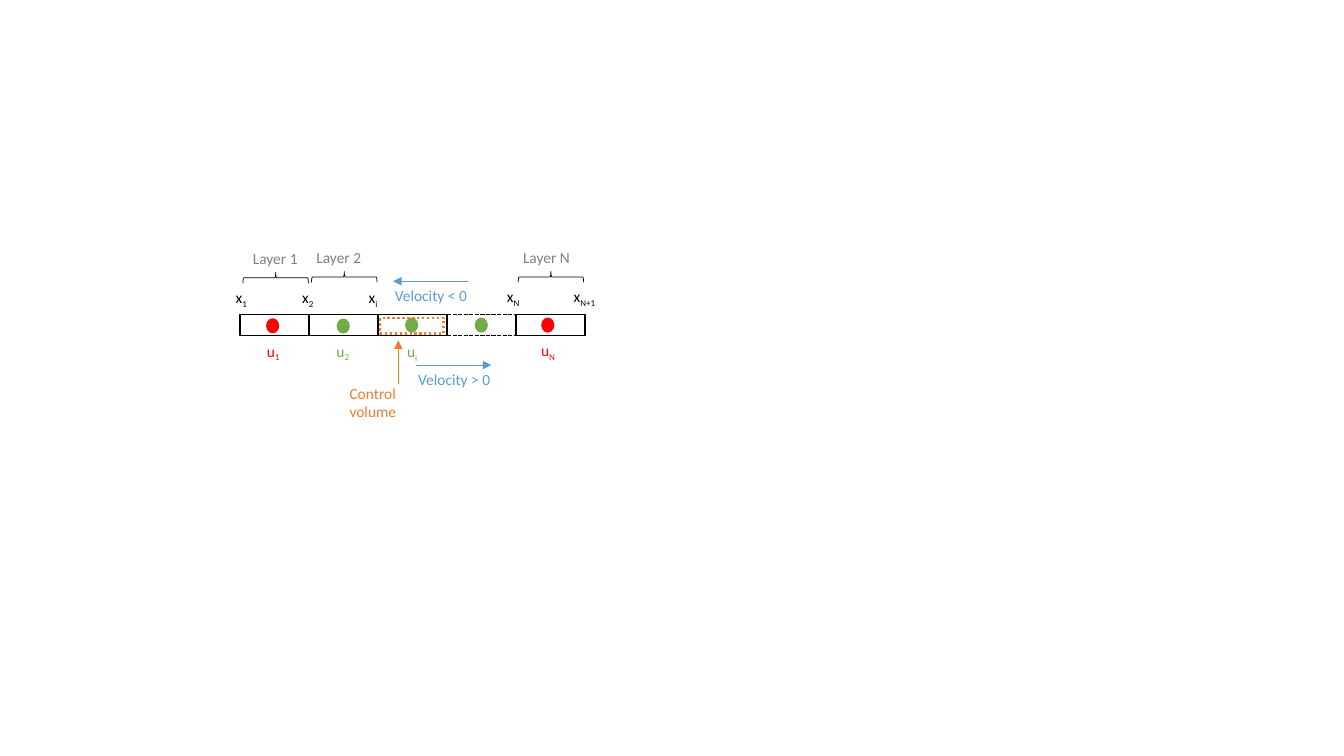
from lxml import etree
from pptx import Presentation
from pptx.dml.color import RGBColor
from pptx.enum.dml import MSO_LINE
from pptx.enum.shapes import MSO_CONNECTOR, MSO_SHAPE
from pptx.oxml.ns import qn
from pptx.util import Pt

RECTANGLE, ELLIPSE, BRACE = MSO_SHAPE.RECTANGLE, MSO_SHAPE.OVAL, MSO_SHAPE.LEFT_BRACE
STRAIGHT = MSO_CONNECTOR.STRAIGHT
DASHED, DOTTED = MSO_LINE.SQUARE_DOT, MSO_LINE.ROUND_DOT
BLACK, GRAY, RED = "000000", "808080", "FF0000"
GREEN, BLUE, ORANGE = "70AD47", "5B9BD5", "ED7D31"

# Grid of cells
GRID_LEFT, GRID_TOP = 171.4, 224.6
CELL_WIDTH, CELL_HEIGHT = 49.3, 15.1
DOT_WIDTH, DOT_HEIGHT = 9.4, 10.8
BRACE_WIDTH, BRACE_LENGTH = 7.9, 46.8


def color(value):
    return RGBColor.from_string(value)


def style_line(shape, line_color, width, dash=None):
    shape.line.color.rgb = color(line_color)
    shape.line.width = Pt(width)
    if dash is not None:
        shape.line.dash_style = dash


presentation = Presentation()
presentation.slide_width = Pt(960)
presentation.slide_height = Pt(540)
slide = presentation.slides.add_slide(presentation.slide_layouts[6])

# Outlined shapes: grid cells, then layer braces, turned to point up
outlines = [
    (RECTANGLE, GRID_LEFT + column * CELL_WIDTH, GRID_TOP, CELL_WIDTH, CELL_HEIGHT, 1, 0)
    for column in (0, 1, 2, 4)
]
outlines += [
    (BRACE, center_x - BRACE_WIDTH / 2, center_y - BRACE_LENGTH / 2,
     BRACE_WIDTH, BRACE_LENGTH, 0.5, 90)
    for center_x, center_y in ((196.9, 198.4), (245.9, 197.8), (393.5, 197.8))
]
for kind, left, top, width, height, weight, rotation in outlines:
    shape = slide.shapes.add_shape(kind, Pt(left), Pt(top), Pt(width), Pt(height))
    shape.shadow.inherit = False
    shape.fill.background()
    shape.rotation = rotation
    style_line(shape, BLACK, weight)

# Dots at the cell centres
for left, top, dot_color in (
    (190.1, 227.3, RED), (240.5, 227.5, GREEN), (289.4, 226.8, GREEN),
    (339.1, 226.8, GREEN), (386.6, 226.8, RED),
):
    dot = slide.shapes.add_shape(ELLIPSE, Pt(left), Pt(top), Pt(DOT_WIDTH), Pt(DOT_HEIGHT))
    dot.shadow.inherit = False
    dot.fill.solid()
    dot.fill.fore_color.rgb = color(dot_color)
    dot.line.fill.background()

# Control volume
control_volume = slide.shapes.add_shape(RECTANGLE, Pt(271.6), Pt(227.3), Pt(45.4), Pt(10.8))
control_volume.shadow.inherit = False
control_volume.fill.background()
style_line(control_volume, ORANGE, 1.75, DOTTED)

# Dashed edges of the omitted cells, and arrows
gap_left = GRID_LEFT + 3 * CELL_WIDTH
gap_right = gap_left + CELL_WIDTH
grid_bottom = GRID_TOP + CELL_HEIGHT
for start_x, start_y, end_x, end_y, line_color, weight, dash, arrow in (
    (gap_left, GRID_TOP, gap_right, GRID_TOP, BLACK, 1, DASHED, False),
    (gap_left, grid_bottom, gap_right, grid_bottom, BLACK, 1, DASHED, False),
    (297.2, 260.8, 350.9, 260.8, BLUE, 0.5, None, True),
    (334.6, 200.9, 280.9, 200.9, BLUE, 0.5, None, True),
    (284.5, 274.3, 284.5, 243.2, ORANGE, 0.5, None, True),
):
    connector = slide.shapes.add_connector(
        STRAIGHT, Pt(start_x), Pt(start_y), Pt(end_x), Pt(end_y))
    style_line(connector, line_color, weight, dash)
    if arrow:
        etree.SubElement(connector.line._get_or_add_ln(), qn("a:tailEnd"), type="triangle")
    etree.SubElement(connector._element.spPr, qn("a:effectLst"))

# Labels: text, subscript, left, top, width, height, colour
for text, subscript, left, top, width, height, text_color in (
    ("Layer 1", "", 173.5, 174.2, 51.8, 20.6, GRAY),
    ("Layer 2", "", 218.9, 173.5, 51.8, 20.6, GRAY),
    ("Layer N", "", 366.5, 173.5, 51.8, 20.6, GRAY),
    ("x", "1", 161.3, 202.3, 24.5, 20.6, BLACK),
    ("x", "2", 208.8, 202.3, 24.5, 20.6, BLACK),
    ("x", "i", 256.3, 202, 24.5, 20.6, BLACK),
    ("x", "N", 355, 201.8, 24.5, 20.6, BLACK),
    ("x", "N+1", 402.7, 201.4, 34.6, 20.6, BLACK),
    ("u", "1", 183.6, 240.5, 24.5, 20.6, RED),
    ("u", "2", 233.3, 240.5, 24.5, 20.6, GREEN),
    ("u", "i", 283.7, 241, 24.5, 20.6, GREEN),
    ("u", "N", 379.4, 240, 34.6, 20.6, RED),
    ("Velocity > 0", "", 291.6, 260.6, 70.6, 20.6, BLUE),
    ("Velocity < 0", "", 275, 200.9, 70.6, 20.6, BLUE),
    ("Control volume", "", 242.6, 270.7, 51.8, 33.8, ORANGE),
):
    label = slide.shapes.add_textbox(Pt(left), Pt(top), Pt(width), Pt(height))
    label.text_frame.word_wrap = True
    paragraph = label.text_frame.paragraphs[0]
    font_format = {"name": "Calibri", "size": Pt(11)}
    for content, baseline in ((text, None), (subscript, "-25000")):
        if not content:
            continue
        run = paragraph.add_run()
        run.text = content
        for attribute, value in font_format.items():
            setattr(run.font, attribute, value)
        run.font.color.rgb = color(text_color)
        if baseline:
            run._r.get_or_add_rPr().set("baseline", baseline)

presentation.save("out.pptx")
